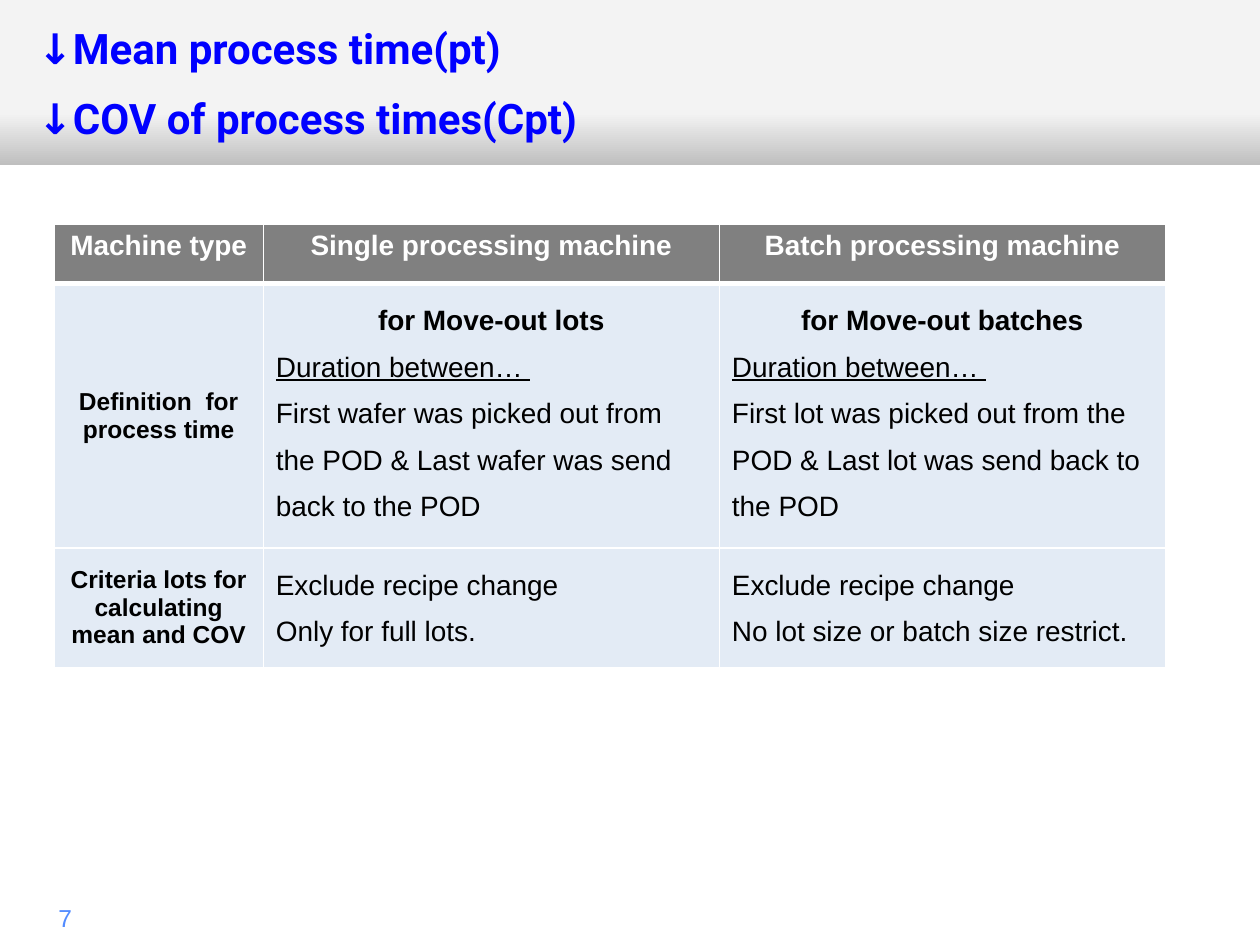
from dataclasses import dataclass

from lxml import etree
from pptx import Presentation
from pptx.dml.color import RGBColor
from pptx.enum.shapes import MSO_SHAPE
from pptx.enum.text import MSO_ANCHOR, PP_ALIGN
from pptx.oxml.ns import qn
from pptx.util import Inches, Pt

RECT = MSO_SHAPE.RECTANGLE
LEFT, CENTER, RIGHT = PP_ALIGN.LEFT, PP_ALIGN.CENTER, PP_ALIGN.RIGHT
TOP, MIDDLE = MSO_ANCHOR.TOP, MSO_ANCHOR.MIDDLE

WHITE = RGBColor(0xFF, 0xFF, 0xFF)
BLACK = RGBColor(0, 0, 0)
TITLE_BLUE = RGBColor(0, 0, 0xFF)
NUMBER_BLUE = RGBColor(0x53, 0x8C, 0xFF)
BANNER_LIGHT = RGBColor(0xF3, 0xF3, 0xF3)
BANNER_DARK = RGBColor(0xBF, 0xBF, 0xBF)
HEADER_GRAY = RGBColor(0x80, 0x80, 0x80)
BODY_BLUE = RGBColor(0xE3, 0xEB, 0xF5)

COL_WIDTHS = (1.66, 3.62, 3.54)
ROW_HEIGHTS = (0.47, 2.1, 0.95)


@dataclass
class Line:
    text: str
    bold: bool = False
    underline: bool = False
    align: PP_ALIGN = LEFT


def heading(text):
    return Line(text, bold=True, align=CENTER)


DURATION = Line("Duration between… ", underline=True)
EXCLUDE = Line("Exclude recipe change")

ROWS = (
    ([heading("Machine type")],
     [heading("Single processing machine")],
     [heading("Batch processing machine")]),
    ([heading("Definition  for process time")],
     [heading("for Move-out lots"), DURATION,
      Line("First wafer was picked out from the POD & Last wafer was send back to the POD")],
     [heading("for Move-out batches"), DURATION,
      Line("First lot was picked out from the POD & Last lot was send back to the POD")]),
    ([heading("Criteria lots for calculating mean and COV")],
     [EXCLUDE, Line("Only for full lots.")],
     [EXCLUDE, Line("No lot size or batch size restrict.")]),
)


def write_lines(tf, lines, *, size, color, font="Arial", spacing=None, anchor=MIDDLE):
    """Fill a text frame with one paragraph per line; a newline breaks within it."""
    tf.word_wrap = True
    tf.vertical_anchor = anchor
    for i, line in enumerate(lines):
        p = tf.paragraphs[0] if i == 0 else tf.add_paragraph()
        p.alignment = line.align
        p.line_spacing = spacing
        for j, part in enumerate(line.text.split("\n")):
            if j:
                p.add_line_break()
            r = p.add_run()
            r.text = part
            r.font.name, r.font.size = font, Pt(size)
            r.font.bold, r.font.underline = line.bold, line.underline
            r.font.color.rgb = color


def add_text(slide, box, line: Line, **fmt):
    s = slide.shapes.add_textbox(*map(Inches, box))
    write_lines(s.text_frame, [line], **fmt)


def add_banner(slide):
    sp = slide.shapes.add_shape(RECT, 0, Inches(-0.03), Inches(10), Inches(1.34))
    sp.shadow.inherit = False
    sp.line.fill.background()
    sp.fill.gradient()
    sp.fill.gradient_angle = 90
    dark, light = sp.fill.gradient_stops
    dark.color.rgb, dark.position = BANNER_DARK, 0
    light.color.rgb, light.position = BANNER_LIGHT, 0.31


def set_borders(cell, widths: dict):
    """Draw white borders, given as points by side in schema order L, R, T, B."""
    tc_pr = cell._tc.get_or_add_tcPr()
    for i, (side, width) in enumerate(widths.items()):
        ln = etree.Element(qn(f"a:ln{side}"), w=str(Pt(width)))
        fill = etree.SubElement(ln, qn("a:solidFill"))
        etree.SubElement(fill, qn("a:srgbClr"), val=str(WHITE))
        tc_pr.insert(i, ln)


def add_definition_table(slide):
    table = slide.shapes.add_table(
        len(ROWS), len(COL_WIDTHS), Inches(0.43), Inches(1.78),
        Inches(sum(COL_WIDTHS)), Inches(sum(ROW_HEIGHTS))).table
    for col, width in zip(table.columns, COL_WIDTHS):
        col.width = Inches(width)
    for row, height in zip(table.rows, ROW_HEIGHTS):
        row.height = Inches(height)
    for r, row in enumerate(ROWS):
        for c, lines in enumerate(row):
            cell = table.cell(r, c)
            is_header, is_label = r == 0, r > 0 and c == 0
            cell.fill.solid()
            cell.fill.fore_color.rgb = HEADER_GRAY if is_header else BODY_BLUE
            set_borders(cell, {"L": 1, "R": 1, "T": 3 if r == 1 else 1,
                               "B": 3 if is_header else 1})
            write_lines(cell.text_frame, lines,
                        size=14 if is_label else 16,
                        color=WHITE if is_header else BLACK,
                        spacing=None if is_header or is_label else 1.5)
            cell.vertical_anchor = MIDDLE if is_label else TOP


def main():
    prs = Presentation()
    prs.slide_width, prs.slide_height = Inches(10), Inches(7.5)
    slide = prs.slides.add_slide(prs.slide_layouts[6])
    add_banner(slide)
    add_text(slide, (0.04, 7.11, 0.63, 0.34), Line("7", align=RIGHT),
             size=14, color=NUMBER_BLUE)
    add_text(slide, (0.2, 0.28, 9.78, 0.6),
             Line("↓Mean process time(pt)\n↓COV of process times(Cpt)", bold=True),
             size=24, color=TITLE_BLUE, font="Roboto", spacing=Pt(40))
    add_definition_table(slide)
    prs.save("out.pptx")


if __name__ == "__main__":
    main()
